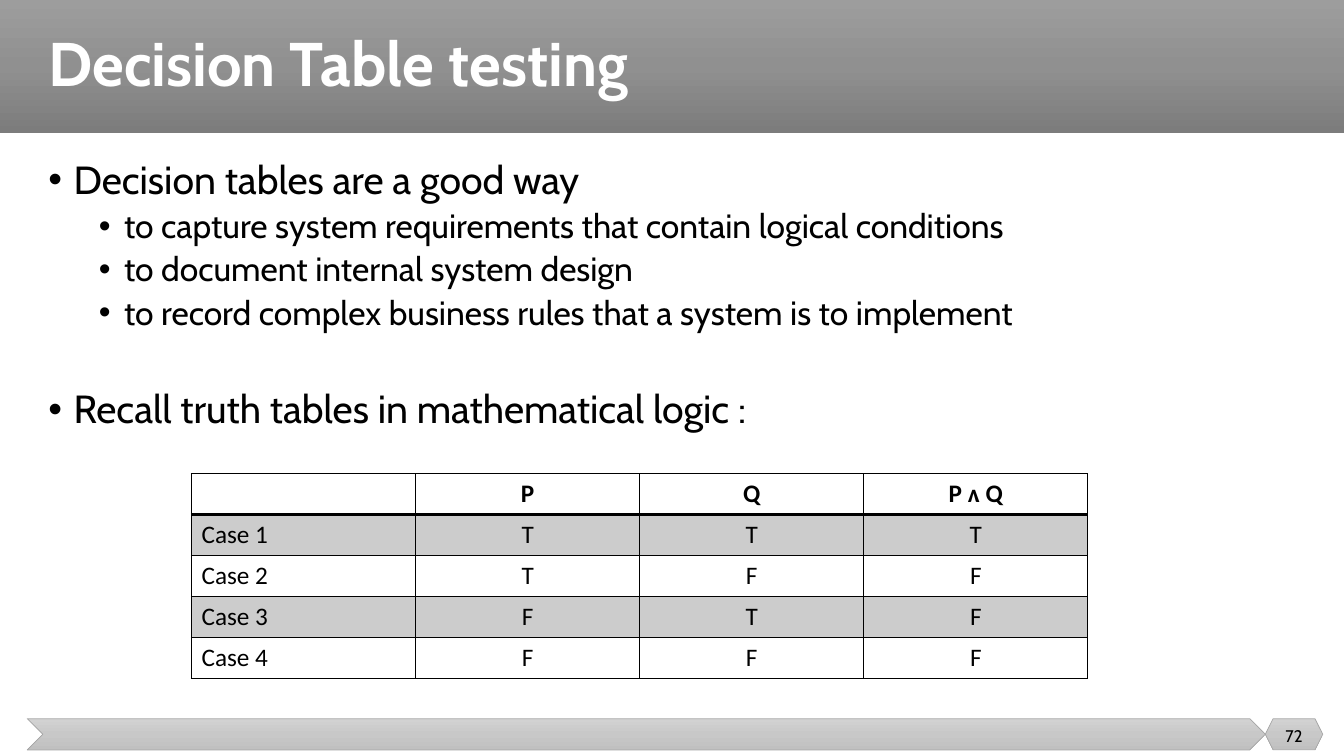
from lxml import etree
from pptx import Presentation
from pptx import util as u
from pptx.dml import color
from pptx.enum import shapes, text
from pptx.oxml import ns

COLORS = {
    "text": "000000",
    "title": "FFFFFF",
    "outline": "A5A5A5",
}
BANNER_GRADIENT = ("9D9D9D", "909090", "7C7C7C")
FOOTER_GRADIENT = ("D2D2D2", "C8C8C8", "C0C0C0")
BULLETS = [
    # level, space before in points, text
    (0, 10, "Decision tables are a good way"),
    (1, 5, "to capture system requirements that contain logical conditions"),
    (1, 5, "to document internal system design"),
    (1, 5, "to record complex business rules that a system is to implement"),
    (0, 41, "Recall truth tables in mathematical logic :"),
]
TRUTH_TABLE = [
    ("", "P", "Q", "P ᴧ Q"),
    ("Case 1", "T", "T", "T"),
    ("Case 2", "T", "F", "F"),
    ("Case 3", "F", "T", "F"),
    ("Case 4", "F", "F", "F"),
]


def add_xml(parent, tag, **attributes):
    return etree.SubElement(parent, ns.qn(tag), attributes)


def rgb(name):
    return color.RGBColor.from_string(COLORS[name])


class SlideBuilder:
    font = "Cabin"
    table_font = "Calibri"

    def __init__(self, presentation):
        self.slide = presentation.slides.add_slide(presentation.slide_layouts[1])

    def place(self, shape, box):
        """Move a placeholder to box and bring it to the front."""
        shape.left, shape.top, shape.width, shape.height = map(u.Inches, box)
        self.slide.shapes._spTree.append(shape._element)
        shape.text_frame.auto_size = text.MSO_AUTO_SIZE.NONE
        shape.text_frame.word_wrap = True

    def format_runs(self, paragraph, size, color_name="text", bold=False, font=None):
        for run in paragraph.runs:
            run.font.name = font or self.font
            run.font.size = u.Pt(size)
            run.font.bold = bold
            run.font.color.rgb = rgb(color_name)

    def gradient_shape(self, preset, box, stops, outlined=True):
        shape = self.slide.shapes.add_shape(preset, *map(u.Inches, box))
        shape.shadow.inherit = False
        shape.fill.gradient()
        shape.fill.gradient_angle = 270
        stop_list = shape._element.spPr.find(ns.qn("a:gradFill")).find(ns.qn("a:gsLst"))
        for stop in list(stop_list):
            stop_list.remove(stop)
        for index, value in enumerate(stops):
            stop = add_xml(stop_list, "a:gs", pos=str(index * 50000))
            add_xml(stop, "a:srgbClr", val=value)
        if outlined:
            shape.line.color.rgb = rgb("outline")
            shape.line.width = u.Pt(0.5)
        else:
            shape.line.fill.background()

    def title(self, words, box):
        shape = self.slide.shapes.title
        self.place(shape, box)
        shape.text_frame.text = words
        shape.text_frame.vertical_anchor = text.MSO_ANCHOR.MIDDLE
        paragraph = shape.text_frame.paragraphs[0]
        paragraph.alignment = text.PP_ALIGN.LEFT
        paragraph.line_spacing = 0.9
        self.format_runs(paragraph, 44, "title", bold=True)

    def bullet_list(self, items, box):
        shape = self.slide.placeholders[1]
        self.place(shape, box)
        frame = shape.text_frame
        frame.text = "\n".join(words for _, _, words in items)
        for paragraph, (level, space, _) in zip(frame.paragraphs, items):
            paragraph.level = level
            paragraph.line_spacing = 0.9
            paragraph.space_before = u.Pt(space)
            paragraph.space_after = u.Pt(0)
            properties = paragraph._p.get_or_add_pPr()
            properties.set("marL", str(u.Inches(0.25 + 0.5 * level)))
            properties.set("indent", str(u.Inches(-0.25)))
            add_xml(properties, "a:buFont", typeface="Arial")
            add_xml(properties, "a:buChar", char="•")
            self.format_runs(paragraph, 28 - 4 * level)

    def page_number(self, words, box):
        frame = self.slide.shapes.add_textbox(*map(u.Inches, box)).text_frame
        frame.word_wrap = True
        frame.vertical_anchor = text.MSO_ANCHOR.MIDDLE
        frame.text = words
        frame.paragraphs[0].alignment = text.PP_ALIGN.CENTER
        self.format_runs(frame.paragraphs[0], 12)

    def cell_borders(self, cell, bottom_width):
        properties = cell._tc.get_or_add_tcPr()
        widths = {"a:lnL": 1, "a:lnR": 1, "a:lnT": 1, "a:lnB": bottom_width}
        for index, (tag, width) in enumerate(widths.items()):
            line = add_xml(properties, tag, w=str(u.Pt(width)))
            add_xml(add_xml(line, "a:solidFill"), "a:srgbClr", val=COLORS["text"])
            properties.insert(index, line)

    def shade_cell(self, cell):
        cell.fill.solid()
        cell.fill.fore_color.rgb = rgb("text")
        shade = cell._tc.tcPr.find(".//" + ns.qn("a:srgbClr"))
        add_xml(shade, "a:alpha", val="20000")

    def table(self, rows, box):
        table = self.slide.shapes.add_table(
            len(rows), len(rows[0]), *map(u.Inches, box)).table
        table.first_row = table.horz_banding = False
        for row_index, row in enumerate(rows):
            header = row_index == 0
            for column_index, words in enumerate(row):
                cell = table.cell(row_index, column_index)
                cell.text_frame.text = words
                paragraph = cell.text_frame.paragraphs[0]
                if column_index:
                    paragraph.alignment = text.PP_ALIGN.CENTER
                self.format_runs(paragraph, 18, bold=header, font=self.table_font)
                if row_index % 2:
                    self.shade_cell(cell)
                else:
                    cell.fill.background()
                self.cell_borders(cell, 2 if header else 1)


def main():
    presentation = Presentation()
    presentation.slide_width = u.Inches(13.33)
    presentation.slide_height = u.Inches(7.5)

    builder = SlideBuilder(presentation)
    preset = shapes.MSO_SHAPE
    builder.gradient_shape(preset.RECTANGLE, (0, 0, 13.33, 1.32), BANNER_GRADIENT, outlined=False)
    builder.gradient_shape(preset.CHEVRON, (0.27, 7.13, 12.28, 0.31), FOOTER_GRADIENT)
    builder.gradient_shape(preset.HEXAGON, (12.55, 7.13, 0.57, 0.31), FOOTER_GRADIENT)
    builder.title("Decision Table testing", (0.38, 0, 12.74, 1.32))
    builder.bullet_list(BULLETS, (0.38, 1.54, 12.74, 5.19))
    builder.page_number("72", (12.55, 7.1, 0.57, 0.4))
    builder.table(TRUTH_TABLE, (1.9, 4.7, 8.89, 2.03))
    presentation.save("out.pptx")


if __name__ == "__main__":
    main()
